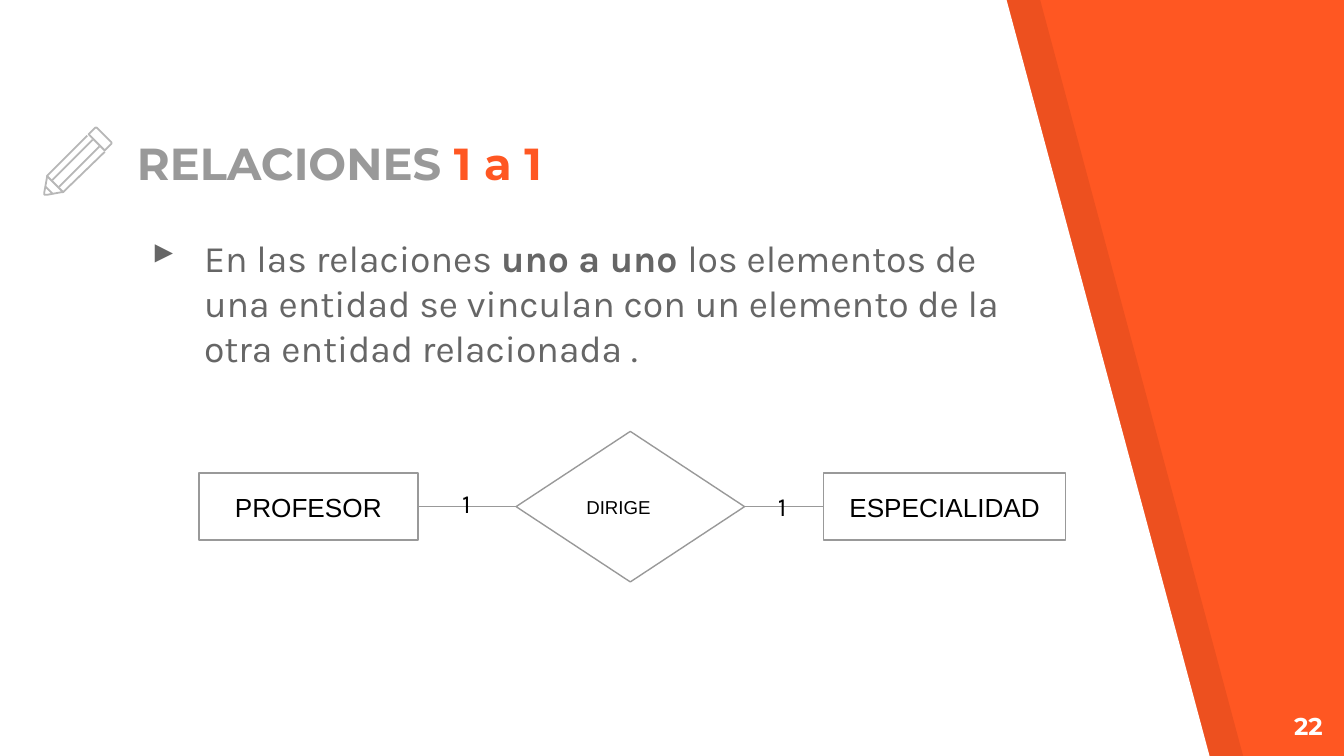
from lxml import etree
from pptx import Presentation
from pptx.dml.color import RGBColor
from pptx.enum.shapes import MSO_CONNECTOR, MSO_SHAPE
from pptx.enum.text import MSO_ANCHOR, PP_ALIGN
from pptx.oxml.ns import qn
from pptx.util import Inches, Pt

RECT, DIAMOND = MSO_SHAPE.RECTANGLE, MSO_SHAPE.DIAMOND
STRAIGHT = MSO_CONNECTOR.STRAIGHT
TOP, MIDDLE, BOTTOM = MSO_ANCHOR.TOP, MSO_ANCHOR.MIDDLE, MSO_ANCHOR.BOTTOM
LEFT, CENTER, RIGHT = PP_ALIGN.LEFT, PP_ALIGN.CENTER, PP_ALIGN.RIGHT
WIDE, HIGH = 10, 10 * 9 / 16
ORANGE, WHITE, BLACK = "FF5722", "FFFFFF", "000000"
GREY, DARK, PALE = "999999", "666666", "B7B7B7"

TITLE = [("RELACIONES ", GREY, True), ("1 a 1", ORANGE, True)]
BODY = [
    ("En las relaciones ", DARK, False),
    ("uno a uno ", DARK, True),
    ("los elementos de una entidad se vinculan con un elemento de la "
     "otra entidad relacionada .", DARK, False),
]
AXIS = 3.77
NODES = [
    ("PROFESOR", RECT, 1.48, 1.63, 0.5, 14, CENTER),
    ("DIRIGE", DIAMOND, 3.84, 1.7, 1.12, 10, LEFT),
    ("ESPECIALIDAD", RECT, 6.13, 1.8, 0.5, 14, CENTER),
]
LABELS = [("1", 3.34, 3.53), ("1", 5.69, 3.55)]
PANELS = [(0.25, BLACK, 7), (0, WHITE, 100)]
PENCIL = [
    ([(0.82, 1.05), (0.73, 0.96), (0.72, 0.95), (0.71, 0.95), (0.7, 0.96),
      (0.66, 1), (0.78, 1.12), (0.82, 1.08), (0.83, 1.07), (0.83, 1.06)], True),
    ([(0.74, 1.09), (0.44, 1.39)], False),
    ([(0.65, 1.01), (0.35, 1.31), (0.35, 1.32), (0.33, 1.43), (0.33, 1.45),
      (0.35, 1.45), (0.46, 1.43), (0.47, 1.43), (0.78, 1.13)], False),
    ([(0.39, 1.34), (0.69, 1.04)], False),
    ([(0.39, 1.44), (0.34, 1.39)], False),
    ([(0.35, 1.31), (0.47, 1.43)], False),
]


def color(code):
    return RGBColor.from_string(code)


def paint(shape, fill, line, width=0.75):
    shape.shadow.inherit = False
    if fill:
        shape.fill.solid()
        shape.fill.fore_color.rgb = color(fill)
    else:
        shape.fill.background()
    if line:
        shape.line.color.rgb = color(line)
        shape.line.width = Pt(width)
    else:
        shape.line.fill.background()


def write(shape, runs, font, size, align=LEFT, anchor=TOP):
    frame = shape.text_frame
    frame.word_wrap = True
    frame.vertical_anchor = anchor
    frame.margin_left = frame.margin_right = Inches(0.1)
    frame.margin_top = frame.margin_bottom = Inches(0.1)
    para = frame.paragraphs[0]
    para.alignment = align
    for text, code, bold in runs:
        run = para.add_run()
        run.text = text
        run.font.name, run.font.size, run.font.bold = font, Pt(size), bold
        run.font.color.rgb = color(code)
    return para


def add_text(slide, box, *rest):
    return write(slide.shapes.add_textbox(*map(Inches, box)), *rest)


def outline(slide, points, close):
    spots = [(Inches(x), Inches(y)) for x, y in points]
    pen = slide.shapes.build_freeform(*spots[0], scale=1.0)
    pen.add_line_segments(spots[1:], close=close)
    return pen.convert_to_shape()


def add_bullet(para):
    props = para._p.get_or_add_pPr()
    props.set("marL", str(Inches(0.5)))
    props.set("indent", str(Inches(-0.39)))
    tint = etree.SubElement(props, qn("a:buClr"))
    etree.SubElement(tint, qn("a:srgbClr"), val=DARK)
    etree.SubElement(props, qn("a:buChar"), char="▸")


def add_panels(slide):
    for shift, fill, share in PANELS:
        edge = [(shift, 0), (shift, HIGH), (9 + shift, HIGH), (7.49 + shift, 0)]
        panel = outline(slide, edge, True)
        paint(panel, fill, None)
        if share < 100:
            tint = panel.fill._xPr.find(qn("a:solidFill"))[0]
            etree.SubElement(tint, qn("a:alpha"), val=str(share * 1000))


def add_diagram(slide):
    nodes = []
    for name, kind, left, width, height, size, align in NODES:
        box = (left, AXIS - height / 2, width, height)
        node = slide.shapes.add_shape(kind, *map(Inches, box))
        paint(node, WHITE, GREY)
        write(node, [(name, BLACK, False)], "Arial", size, align, MIDDLE)
        nodes.append(node)
    for start, end in zip(nodes, nodes[1:]):
        link = slide.shapes.add_connector(STRAIGHT, 0, 0, 0, 0)
        link.begin_connect(start, 3)
        link.end_connect(end, 1)
        link.line.color.rgb = color(GREY)
        link.line.width = Pt(0.75)
        etree.SubElement(link._element.spPr, qn("a:effectLst"))
    for text, left, top in LABELS:
        add_text(slide, (left, top, 0.22, 0.23), [(text, BLACK, False)], "Karla", 14)


def main():
    """Build the slide on one-to-one relationships."""
    deck = Presentation()
    deck.slide_width, deck.slide_height = Inches(WIDE), Inches(HIGH)
    slide = deck.slides.add_slide(deck.slide_layouts[6])
    slide.background.fill.solid()
    slide.background.fill.fore_color.rgb = color(ORANGE)
    add_panels(slide)
    add_text(slide, (0.92, 0.98, 6.21, 0.53), TITLE, "Montserrat", 24, LEFT, BOTTOM)
    body = add_text(slide, (0.92, 1.65, 6.84, 1.3), BODY, "Karla", 20)
    body.space_before = Pt(6)
    add_bullet(body)
    for points, close in PENCIL:
        paint(outline(slide, points, close), None, PALE, 0.96)
    page = [("22", WHITE, True)]
    add_text(slide, (9.34, 5.19, 0.6, 0.43), page, "Montserrat", 13, RIGHT)
    add_diagram(slide)
    deck.save("out.pptx")


if __name__ == "__main__":
    main()
